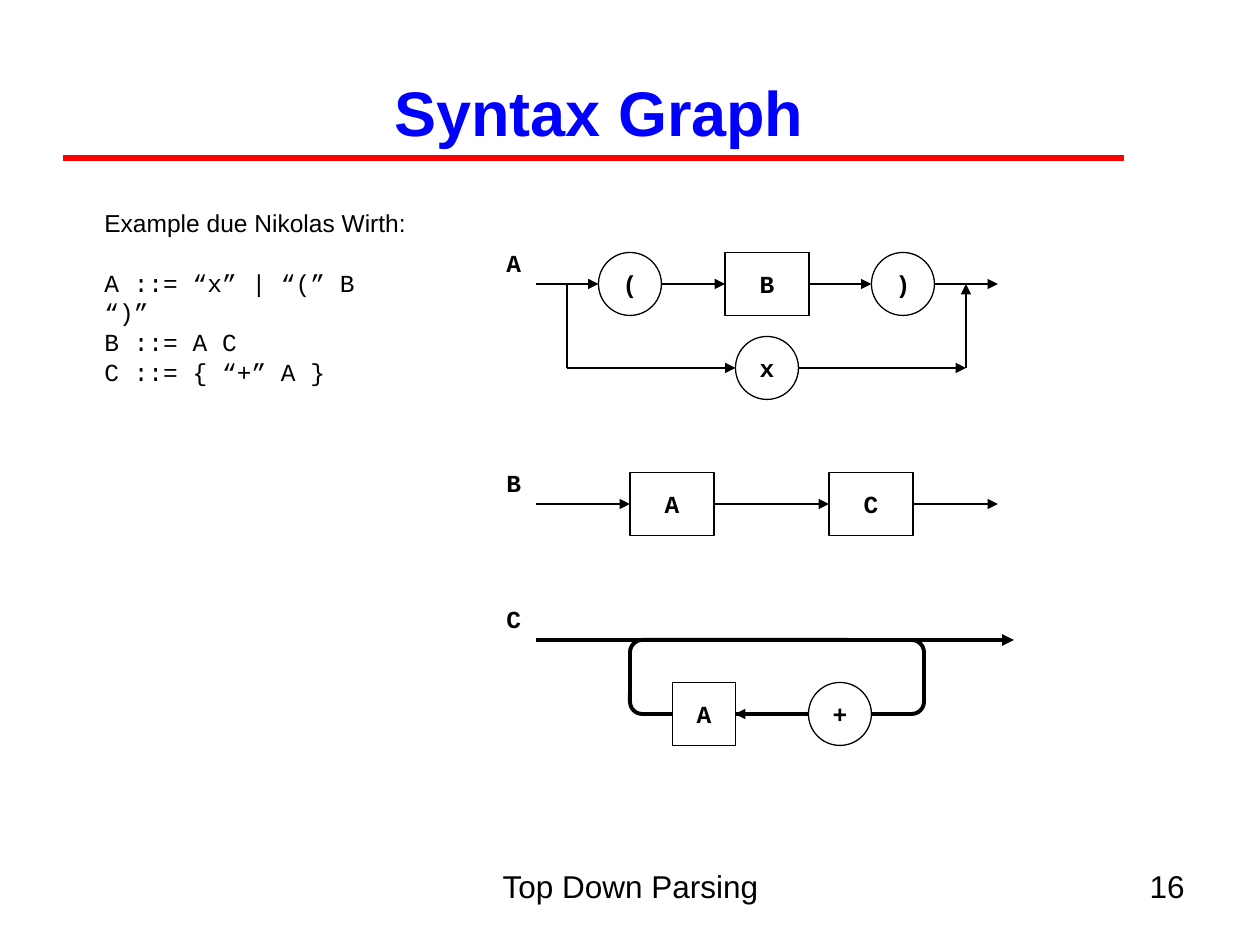
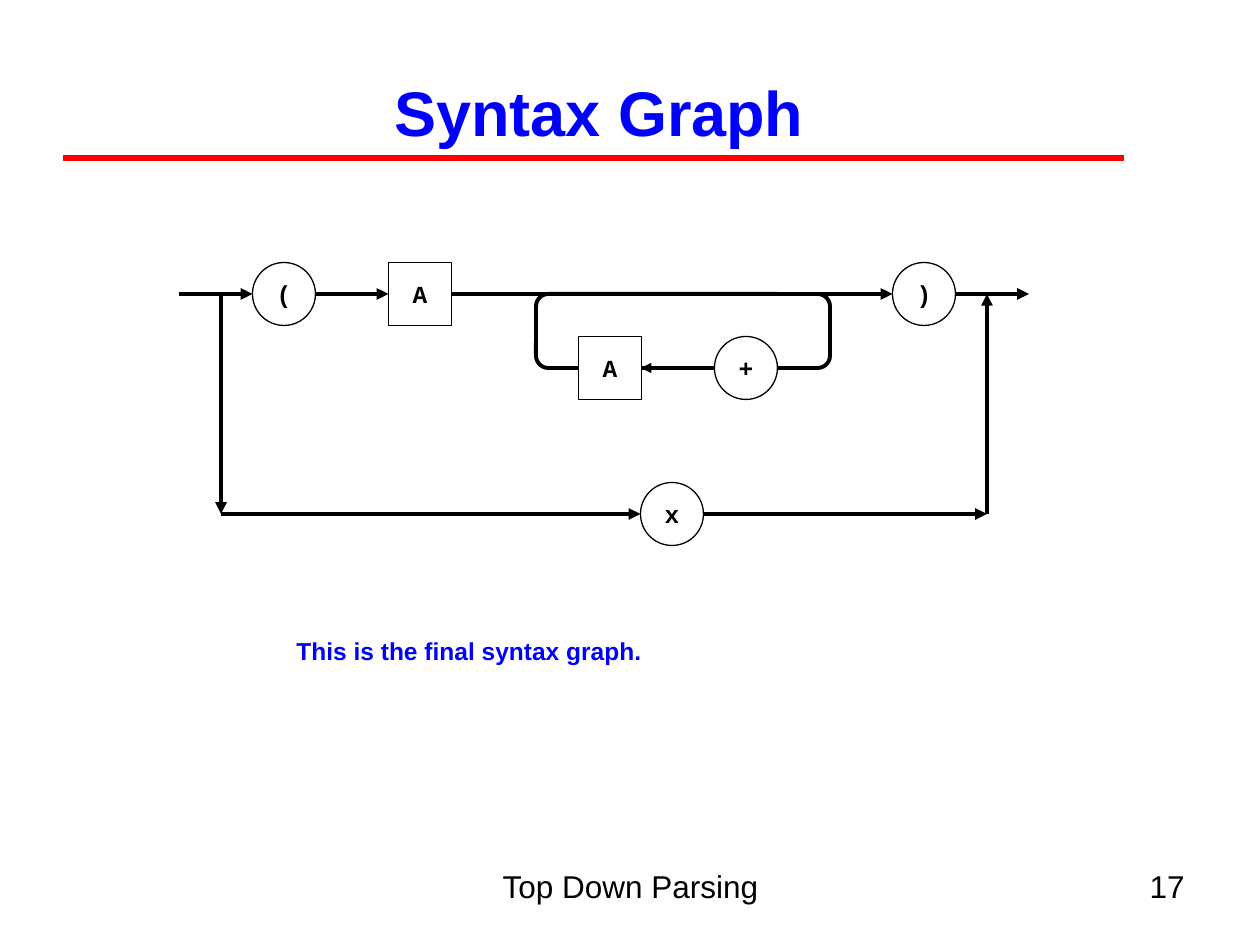
import pptx
import pptx.util
import pptx.dml.color
import pptx.enum.shapes
import pptx.enum.text
import pptx.oxml.ns
import lxml.etree

BLACK, WHITE, BLUE, RED = "000000", "FFFFFF", "0000FF", "FF0000"
SANS, MONO = "Arial", "Courier New"
THIN, THICK = 0.75, 2.25
NODE = 63
WIDE = 84

SHAPE = pptx.enum.shapes.MSO_SHAPE
ALIGN = pptx.enum.text.PP_ALIGN
MIDDLE = pptx.enum.text.MSO_ANCHOR.MIDDLE


def px(length):
    """Turn pixels, 126 to the inch, into EMU."""
    return pptx.util.Emu(round(length * 914400 / 126))


def color(code):
    return pptx.dml.color.RGBColor.from_string(code)


def format_para(para, font, size, code=BLACK, bold=False, align=ALIGN.LEFT):
    para.alignment = align
    for span in para.runs:
        span.font.name = font
        span.font.size = pptx.util.Pt(size)
        span.font.bold = bold
        span.font.color.rgb = color(code)


def add_text(page, box, text, font, size, wrap=True, **style):
    frame = page.shapes.add_textbox(*map(px, box)).text_frame
    frame.word_wrap = wrap
    frame.text = text
    for para in frame.paragraphs:
        format_para(para, font, size, **style)
    return frame


def add_wire(page, start, end, weight, arrow=True, code=BLACK):
    wire = page.shapes.add_connector(
        pptx.enum.shapes.MSO_CONNECTOR.STRAIGHT, *map(px, (*start, *end)))
    wire.line.color.rgb = color(code)
    wire.line.width = pptx.util.Pt(weight)
    qn = pptx.oxml.ns.qn
    if arrow:
        lxml.etree.SubElement(wire.line._get_or_add_ln(), qn("a:tailEnd"), type="triangle")
    lxml.etree.SubElement(wire._element.spPr, qn("a:effectLst"))


def add_outline(page, kind, box, weight):
    shape = page.shapes.add_shape(kind, *map(px, box))
    shape.shadow.inherit = False
    shape.line.color.rgb = color(BLACK)
    shape.line.width = pptx.util.Pt(weight)
    return shape


def add_node(page, kind, text, center, middle, width=NODE):
    box = (center - width / 2, middle - NODE / 2, width, NODE)
    node = add_outline(page, kind, box, THIN)
    node.fill.solid()
    node.fill.fore_color.rgb = color(WHITE)
    frame = node.text_frame
    frame.word_wrap = False
    frame.vertical_anchor = MIDDLE
    frame.text = text
    format_para(frame.paragraphs[0], MONO, 14, bold=True, align=ALIGN.CENTER)


def add_terminal(page, text, center, middle):
    add_node(page, SHAPE.OVAL, text, center, middle)


def add_rule(page, text, center, middle, width=NODE):
    add_node(page, SHAPE.RECTANGLE, text, center, middle, width)


def add_rail(page, left, top, length, stops, weight):
    """Draw arrows along a row, broken at each (center, width) stop."""
    start = left
    for center, width in stops:
        add_wire(page, (start, top), (left + center - width / 2, top), weight)
        start = left + center + width / 2
    add_wire(page, (start, top), (left + length, top), weight)


def add_bypass(page, left, top, width, height, center, weight, fork_arrow):
    """Draw the lower branch through terminal x, from fork to join."""
    right, bottom = left + width, top + height
    add_wire(page, (left, top), (left, bottom), weight, fork_arrow)
    add_rail(page, left, bottom, width, [(center, NODE)], weight)
    add_wire(page, (right, bottom), (right, top), weight)
    add_terminal(page, "x", left + center, bottom)


def add_loop(page, left, top, width=294, height=74):
    """Draw the repetition of + A hanging below a rail."""
    loop = add_outline(page, SHAPE.FLOWCHART_ALTERNATE_PROCESS,
                       (left, top, width, height), THICK)
    loop.fill.background()
    bottom = top + height
    add_rule(page, "A", left + 74, bottom)
    add_terminal(page, "+", left + 210, bottom)
    add_wire(page, (left + 136, bottom), (left + 105, bottom), THIN)


def add_graph_name(page, text, left, top):
    add_text(page, (left - 42, top - 42, 40, 43), text, MONO, 14, wrap=False, bold=True)


def add_graph_a(page, left, top):
    add_graph_name(page, "A", left, top)
    add_rail(page, left, top, 462, [(94, NODE), (231, WIDE), (367, NODE)], THIN)
    add_terminal(page, "(", left + 94, top)
    add_rule(page, "B", left + 231, top, WIDE)
    add_terminal(page, ")", left + 367, top)
    add_bypass(page, left + 31, top, 399, 84, 200, THIN, fork_arrow=False)


def add_graph_b(page, left, top):
    add_graph_name(page, "B", left, top)
    add_rail(page, left, top, 462, [(136, WIDE), (335, WIDE)], THIN)
    add_rule(page, "A", left + 136, top, WIDE)
    add_rule(page, "C", left + 335, top, WIDE)


def add_graph_c(page, left, top):
    add_graph_name(page, "C", left, top)
    add_rail(page, left, top, 478, [], THICK)
    add_loop(page, left + 94, top)


def add_final_graph(page, left, top):
    add_rail(page, left, top, 850, [(105, NODE), (241, NODE), (745, NODE)], THICK)
    add_loop(page, left + 357, top)
    add_terminal(page, "(", left + 105, top)
    add_rule(page, "A", left + 241, top)
    add_terminal(page, ")", left + 745, top)
    add_bypass(page, left + 42, top, 766, 220, 451, THICK, fork_arrow=True)


def add_grammar(page, box):
    lines = ["Example due Nikolas Wirth:", "A ::= “x” | “(” B “)”",
             "B ::= A C", "C ::= { “+” A }"]
    heading, *rules = add_text(page, box, "\n".join(lines), SANS, 14).paragraphs
    heading.space_after = pptx.util.Pt(17)
    for para in rules:
        format_para(para, MONO, 14)
        para.line_spacing = pptx.util.Pt(17)


def add_page(deck, number):
    """Add a slide with the shared title, rule and footer."""
    page = deck.slides.add_slide(deck.slide_layouts.get_by_name("Title Only"))
    title = page.shapes.title
    title.left, title.top, title.width, title.height = map(px, (32, 32, 1134, 158))
    title.text_frame.text = "Syntax Graph"
    title.text_frame.vertical_anchor = MIDDLE
    format_para(title.text_frame.paragraphs[0], SANS, 36, BLUE, True, ALIGN.CENTER)
    add_wire(page, (63, 158), (1124, 158), 3, arrow=False, code=RED)
    add_text(page, (431, 861, 399, 66), "Top Down Parsing", SANS, 18, align=ALIGN.CENTER)
    add_text(page, (903, 861, 294, 66), str(number), SANS, 18, align=ALIGN.RIGHT)
    return page


def main():
    deck = pptx.Presentation()
    deck.slide_width, deck.slide_height = px(1260), px(945)

    page = add_page(deck, 16)
    add_grammar(page, (92, 202, 329, 161))
    add_graph_a(page, 536, 284)
    add_graph_b(page, 536, 504)
    add_graph_c(page, 536, 640)

    page = add_page(deck, 17)
    add_final_graph(page, 179, 294)
    add_text(page, (284, 630, 386, 43), "This is the final syntax graph.", SANS, 14,
             wrap=False, code=BLUE, bold=True)

    deck.save("out.pptx")


if __name__ == "__main__":
    main()
